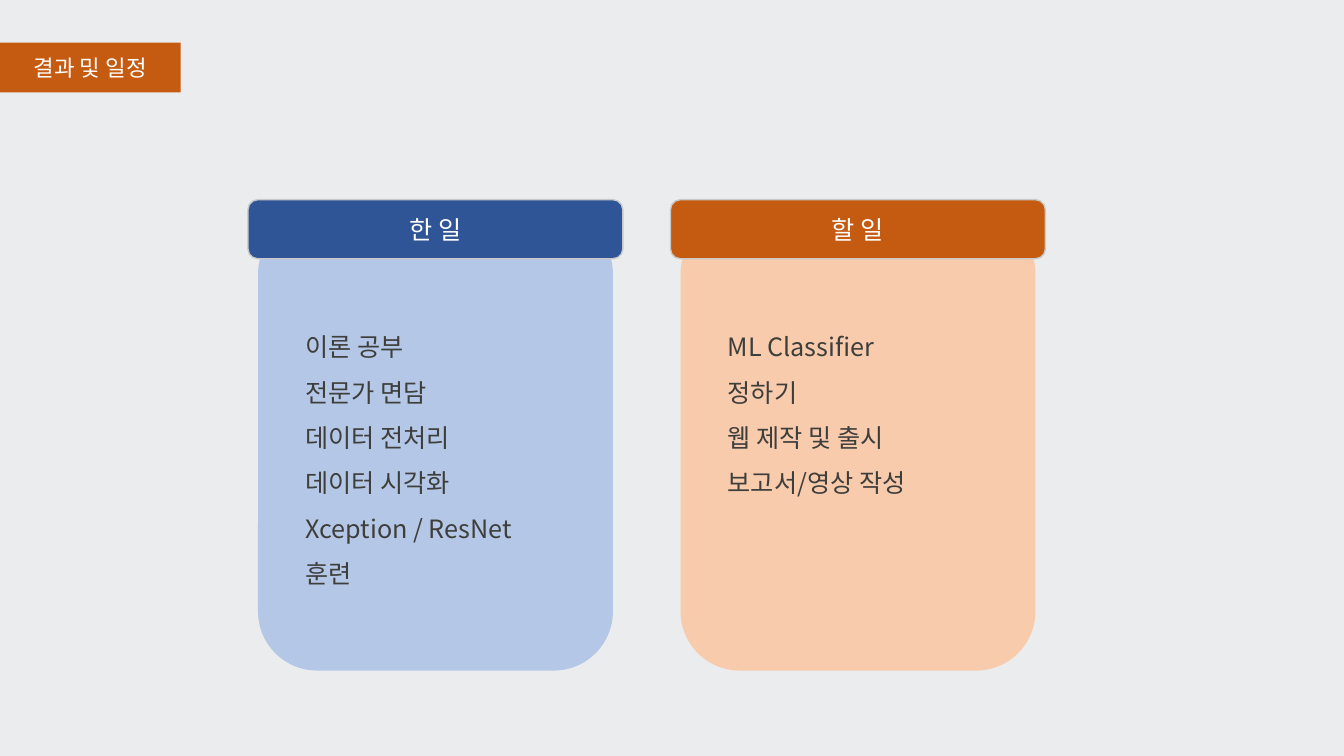
from dataclasses import dataclass

from lxml import etree
from pptx import Presentation
from pptx.dml.color import RGBColor
from pptx.enum.shapes import MSO_SHAPE
from pptx.enum.text import MSO_ANCHOR, MSO_AUTO_SIZE, PP_ALIGN
from pptx.oxml.ns import qn
from pptx.util import Pt

ROUNDED = MSO_SHAPE.ROUNDED_RECTANGLE
TOP, MIDDLE = MSO_ANCHOR.TOP, MSO_ANCHOR.MIDDLE
LEFT, CENTER = PP_ALIGN.LEFT, PP_ALIGN.CENTER
NO_AUTOFIT = MSO_AUTO_SIZE.NONE

FONT = "Noto Sans CJK KR"
COLORS = {
    "background": "EBECED",
    "orange": "C55A11",
    "peach": "F8CBAD",
    "navy": "2F5597",
    "sky": "B4C7E7",
    "border": "C9C9C9",
    "white": "FFFFFF",
    "text": "3E3E3B",
}
FIRST_HEADER_LEFT = 177.1
COLUMN_STEP = 301.8


@dataclass
class Column:
    heading: str
    header_color: str
    card_color: str
    tasks: list[str]


COLUMNS = [
    Column("한 일", "navy", "sky",
           ["이론 공부", "전문가 면담", "데이터 전처리", "데이터 시각화",
            "Xception / ResNet 훈련"]),
    Column("할 일", "orange", "peach",
           ["ML Classifier 정하기", "웹 제작 및 출시", "보고서/영상 작성"]),
]


def rgb(name: str) -> RGBColor:
    return RGBColor.from_string(COLORS[name])


def fill_solid(target, color: str) -> None:
    target.fill.solid()
    target.fill.fore_color.rgb = rgb(color)


def place(shape, left: float, top: float, width: float, height: float) -> None:
    shape.left, shape.top = Pt(left), Pt(top)
    shape.width, shape.height = Pt(width), Pt(height)


def write(shape, lines: list[str], size: float, color: str, align=CENTER,
          anchor=MIDDLE, spacing: float = 1.0) -> None:
    """Write one unbulleted paragraph per line."""
    frame = shape.text_frame
    frame.text = "\n".join(lines)
    frame.word_wrap = True
    frame.auto_size = NO_AUTOFIT
    frame.vertical_anchor = anchor
    for para in frame.paragraphs:
        para.alignment = align
        para.line_spacing = spacing
        para.space_before = Pt(0)
        para.font.size = Pt(size)
        para.font.color.rgb = rgb(color)
        para.font.name = FONT
        properties = para._p.get_or_add_pPr()
        properties.set("marL", "0")
        properties.set("indent", "0")
        defaults = properties.find(qn("a:defRPr"))
        etree.SubElement(defaults, qn("a:ea"), typeface=FONT)
        defaults.addprevious(etree.Element(qn("a:buNone")))


def add_rounded(page, left: float, top: float, width: float, height: float,
                color: str):
    shape = page.shapes.add_shape(
        ROUNDED, Pt(left), Pt(top), Pt(width), Pt(height))
    shape.shadow.inherit = False
    fill_solid(shape, color)
    shape.line.fill.background()
    return shape


def draw_column(page, column: Column, left: float, body) -> None:
    add_rounded(page, left + 7.2, 153.4, 253.5, 325.6, column.card_color)

    header = add_rounded(page, left, 142.6, 267.8, 42.2, column.header_color)
    header.line.color.rgb = rgb("border")
    header.line.width = Pt(1)
    write(header, [column.heading], 18, "white")

    place(body, left + 33.7, 222.5, 168, 204)
    write(body, column.tasks, 18, "text", LEFT, TOP, 1.5)
    page.shapes._spTree.append(body.element)  # bring the list above its card


def main() -> None:
    deck = Presentation()
    deck.slide_width, deck.slide_height = Pt(960), Pt(540)
    page = deck.slides.add_slide(deck.slide_layouts.get_by_name("Two Content"))
    fill_solid(page.background, "background")

    title, *bodies = page.placeholders
    place(title, 0, 30.4, 129, 35.6)
    fill_solid(title, "orange")
    write(title, ["결과 및 일정"], 16, "white")

    for index, (column, body) in enumerate(zip(COLUMNS, bodies)):
        draw_column(page, column, FIRST_HEADER_LEFT + index * COLUMN_STEP, body)

    deck.save("out.pptx")


if __name__ == "__main__":
    main()
